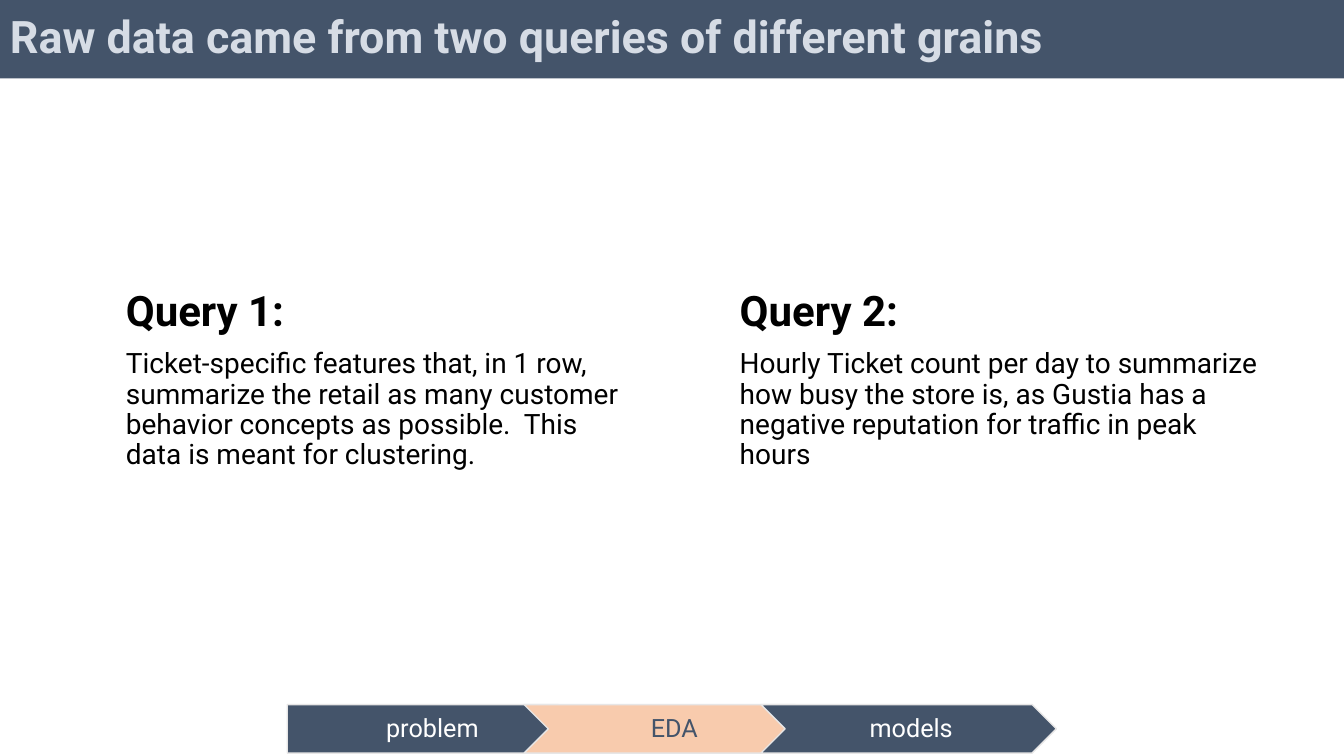
from dataclasses import dataclass

from pptx import Presentation
from pptx.dml.color import RGBColor
from pptx.enum.shapes import MSO_SHAPE
from pptx.enum.text import MSO_ANCHOR, PP_ALIGN
from pptx.util import Pt


@dataclass(frozen=True)
class Theme:
    font: str = "Roboto"
    navy: str = "44546A"
    pale_blue: str = "D6DCE5"
    peach: str = "F8CBAD"
    outline: str = "E7E6E6"
    black: str = "000000"
    white: str = "FFFFFF"
    title_size: int = 32
    heading_size: int = 30
    body_size: int = 20
    label_size: int = 18
    line_spacing: float = 0.9


THEME = Theme()

QUERIES = [
    ((82.8, 203.8, 380.9, 282.2), "Query 1:",
     "Ticket-specific features that, in 1 row, summarize the retail as many "
     "customer behavior concepts as possible.  This data is meant for clustering."),
    ((521.3, 203.8, 387.4, 282.2), "Query 2:",
     "Hourly Ticket count per day to summarize how busy the store is, as Gustia "
     "has a negative reputation for traffic in peak hours"),
]
STAGES = ["problem", "EDA", "models"]
CURRENT_STAGE = "EDA"


def to_points(box):
    return [Pt(length) for length in box]


def style_run(run, size, color, bold=False):
    run.font.name = THEME.font
    run.font.size = Pt(size)
    run.font.bold = bold
    run.font.color.rgb = RGBColor.from_string(color)


def add_filled_shape(slide, kind, box, fill):
    shape = slide.shapes.add_shape(kind, *to_points(box))
    shape.shadow.inherit = False
    shape.fill.solid()
    shape.fill.fore_color.rgb = RGBColor.from_string(fill)
    shape.line.fill.background()
    shape.text_frame.vertical_anchor = MSO_ANCHOR.MIDDLE
    return shape


def add_title_bar(slide, box, title):
    bar = add_filled_shape(slide, MSO_SHAPE.RECTANGLE, box, THEME.navy)
    bar.text_frame.text = title
    paragraph = bar.text_frame.paragraphs[0]
    paragraph.alignment = PP_ALIGN.LEFT
    paragraph.line_spacing = THEME.line_spacing
    style_run(paragraph.runs[0], THEME.title_size, THEME.pale_blue, bold=True)


def add_query(slide, box, heading, description):
    text_frame = slide.shapes.add_textbox(*to_points(box)).text_frame
    text_frame.word_wrap = True
    text_frame.text = f"{heading}\n{description}"
    styles = [(THEME.heading_size, True), (THEME.body_size, False)]
    for paragraph, (size, bold) in zip(text_frame.paragraphs, styles):
        paragraph.line_spacing = THEME.line_spacing
        paragraph.space_before = Pt(10)
        style_run(paragraph.runs[0], size, THEME.black, bold)


def add_progress_arrows(slide, box, stages, current):
    """Fill the box with arrows, each overlapping the next by its point."""
    left, top, width, height = box
    overlap = 1.21 * height
    arrow_width = (width + overlap * (len(stages) - 1)) / len(stages)
    for index, stage in enumerate(stages):
        kind = MSO_SHAPE.CHEVRON if index else MSO_SHAPE.PENTAGON
        fill, color = ((THEME.peach, THEME.navy) if stage == current
                       else (THEME.navy, THEME.white))
        arrow_left = left + index * (arrow_width - overlap)
        arrow = add_filled_shape(
            slide, kind, (arrow_left, top, arrow_width, height), fill)
        arrow.line.color.rgb = RGBColor.from_string(THEME.outline)
        arrow.line.width = Pt(1)
        text_frame = arrow.text_frame
        text_frame.margin_left = Pt(5.8 if index else 7.2)
        text_frame.margin_right = Pt(2.2)
        text_frame.text = stage
        paragraph = text_frame.paragraphs[0]
        paragraph.alignment = PP_ALIGN.CENTER
        paragraph.line_spacing = THEME.line_spacing
        style_run(paragraph.runs[0], THEME.label_size, color)


def main():
    presentation = Presentation()
    presentation.slide_width = Pt(960)
    presentation.slide_height = Pt(540)
    slide = presentation.slides.add_slide(presentation.slide_layouts[6])

    add_title_bar(slide, (0, 0, 960, 56),
                  "Raw data came from two queries of different grains")
    for box, heading, description in QUERIES:
        add_query(slide, box, heading, description)
    add_progress_arrows(slide, (205.2, 503.3, 549.4, 34.6), STAGES, CURRENT_STAGE)

    presentation.save("out.pptx")


if __name__ == "__main__":
    main()
